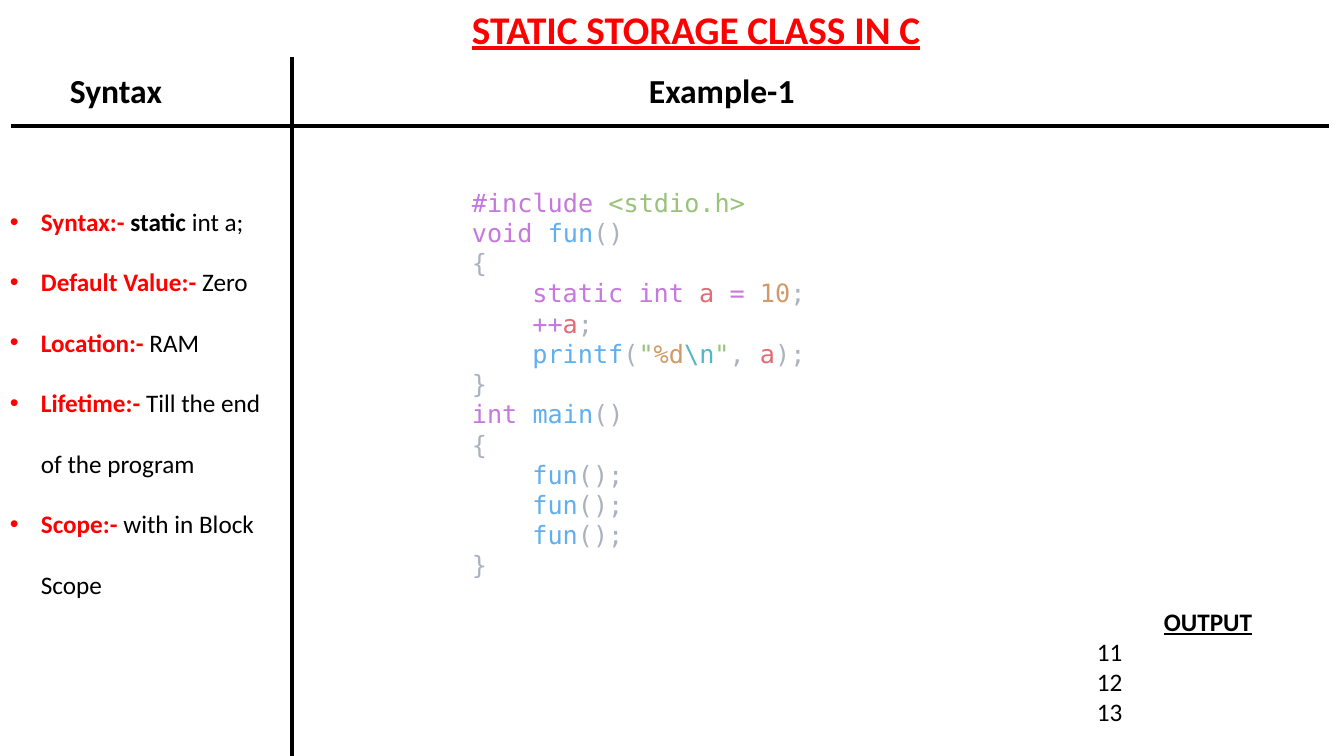
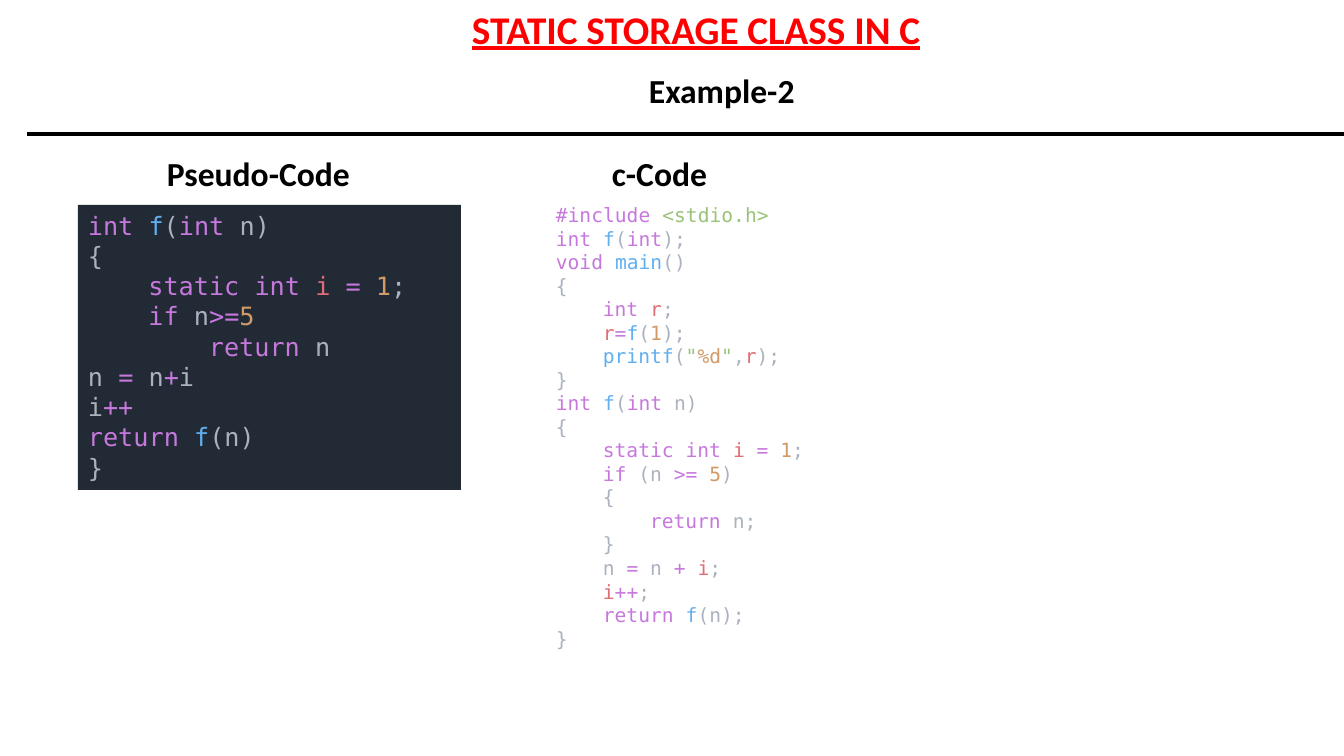
from lxml import etree
from pptx import Presentation
from pptx.dml.color import RGBColor
from pptx.enum.shapes import MSO_CONNECTOR, MSO_SHAPE
from pptx.enum.text import MSO_ANCHOR, MSO_AUTO_SIZE, PP_ALIGN
from pptx.oxml.ns import qn
from pptx.util import Emu, Pt

# Enum members
STRAIGHT = MSO_CONNECTOR.STRAIGHT
RECTANGLE = MSO_SHAPE.RECTANGLE
TOP = MSO_ANCHOR.TOP
GROW = MSO_AUTO_SIZE.SHAPE_TO_FIT_TEXT
CENTER = PP_ALIGN.CENTER

# Colours
RED = RGBColor(0xFF, 0x00, 0x00)
BLACK = RGBColor(0x00, 0x00, 0x00)
PANEL = RGBColor(0x22, 0x2A, 0x35)
KEYWORD = RGBColor(0xC6, 0x78, 0xDD)
FUNCTION = RGBColor(0x61, 0xAF, 0xEF)
PLAIN = RGBColor(0xAB, 0xB2, 0xBF)
VARIABLE = RGBColor(0xE0, 0x6C, 0x75)
NUMBER = RGBColor(0xD1, 0x9A, 0x66)
STRING = RGBColor(0x98, 0xC3, 0x79)
ESCAPE = RGBColor(0x56, 0xB6, 0xC2)

# Fonts and scale
BODY_FONT = "Calibri"
CODE_FONT = "DejaVu Sans Mono"
CODE_INDENT = 4 * 0.6  # four characters, in multiples of the text size
PIXEL = 914400 / 100.8
BULLET_INDENT = round(31 * PIXEL)


def add_text(slide, box, lines, size, font=BODY_FONT, bold=False, fill=None):
    """Each line is (indent level, [(text, colour), ...])."""
    place = [Emu(round(length * PIXEL)) for length in box]
    if fill is None:
        shape = slide.shapes.add_textbox(*place)
    else:
        shape = slide.shapes.add_shape(RECTANGLE, *place)
        shape.shadow.inherit = False
        shape.fill.solid()
        shape.fill.fore_color.rgb = fill
        shape.line.fill.background()
    frame = shape.text_frame
    frame.word_wrap = True
    frame.auto_size = GROW
    frame.vertical_anchor = TOP
    for number, (level, runs) in enumerate(lines):
        paragraph = frame.add_paragraph() if number else frame.paragraphs[0]
        indent = Pt(level * CODE_INDENT * size)
        properties = paragraph._p.get_or_add_pPr()
        properties.set("marL", str(indent))
        properties.set("algn", "l")
        for text, color in runs:
            run = paragraph.add_run()
            run.text = text
            run.font.name = font
            run.font.size = Pt(size)
            run.font.bold = bold
            run.font.color.rgb = color
    return frame.paragraphs


def add_line(slide, ends, width):
    line = slide.shapes.add_connector(
        STRAIGHT, *[Emu(round(length * PIXEL)) for length in ends])
    line.line.color.rgb = BLACK
    line.line.width = Pt(width)
    etree.SubElement(line._element.spPr, qn("a:effectLst"))


presentation = Presentation()
presentation.slide_width = Emu(round(1344 * PIXEL))
presentation.slide_height = Emu(round(756 * PIXEL))
blank = presentation.slide_layouts[6]

# Shared title, rule and headings: (heading, left, top, width)
slide_frames = [
    ((11, 126, 1329, 126),
     [("Syntax", 60, 65, 127), ("Example-1", 639, 65, 192)]),
    ((27, 134, 1344, 134),
     [("Example-2", 639, 65, 192), ("Pseudo-Code", 157, 148, 226),
      ("c-Code", 602, 148, 226)]),
]
for rule, headings in slide_frames:
    slide = presentation.slides.add_slide(blank)
    title = add_text(slide, (462, 0, 483, 57),
                     [(0, [("STATIC STORAGE CLASS IN C", RED)])], 28, bold=True)
    title[0].runs[0].font.underline = True
    add_line(slide, rule, 2.25)
    for heading, left, top, width in headings:
        add_text(slide, (left, top, width, 50), [(0, [(heading, BLACK)])],
                 24, bold=True)
syntax_slide, recursion_slide = presentation.slides

# Code lines used more than once
OPEN = (0, [("{", PLAIN)])
CLOSE = (0, [("}", PLAIN)])
INCLUDE = (0, [("#include ", KEYWORD), ("<stdio.h>", STRING)])
SIGNATURE = (0, [("int ", KEYWORD), ("f", FUNCTION), ("(", PLAIN),
                 ("int", KEYWORD), (" n)", PLAIN)])
STATIC_I = (1, [("static int ", KEYWORD), ("i ", VARIABLE), ("= ", KEYWORD),
                ("1", NUMBER), (";", PLAIN)])
CALL_FUN = (1, [("fun", FUNCTION), ("();", PLAIN)])

# Slide 1: properties of the storage class
add_line(syntax_slide, (292, 57, 292, 756), 3)
facts = [
    ("Syntax:- ", [("static ", BLACK), ("int a;", BLACK)]),
    ("Default Value:- ", [("Zero", BLACK)]),
    ("Location:- ", [("RAM", BLACK)]),
    ("Lifetime:- ", [("Till the end of the program", BLACK)]),
    ("Scope:- ", [("with in Block Scope", BLACK)]),
]
fact_paragraphs = add_text(
    syntax_slide, (0, 171, 292, 429),
    [(0, [(label, RED)] + value) for label, value in facts], 18, bold=True)
for paragraph in fact_paragraphs:
    paragraph.line_spacing = 2.0
    paragraph.runs[-1].font.bold = False
    properties = paragraph._p.get_or_add_pPr()
    properties.set("marL", str(BULLET_INDENT))
    properties.set("indent", str(-BULLET_INDENT))
    etree.SubElement(properties, qn("a:buFont"), typeface="Arial")
    etree.SubElement(properties, qn("a:buChar"), char="•")

# Slide 1: example program
add_text(syntax_slide, (462, 182, 674, 407), [
    INCLUDE,
    (0, [("void ", KEYWORD), ("fun", FUNCTION), ("()", PLAIN)]),
    OPEN,
    (1, [("static int ", KEYWORD), ("a ", VARIABLE), ("= ", KEYWORD),
         ("10", NUMBER), (";", PLAIN)]),
    (1, [("++", KEYWORD), ("a", VARIABLE), (";", PLAIN)]),
    (1, [("printf", FUNCTION), ("(", PLAIN), ('"', STRING), ("%d", NUMBER),
         ("\\n", ESCAPE), ('"', STRING), (", ", PLAIN), ("a", VARIABLE),
         (");", PLAIN)]),
    CLOSE,
    (0, [("int ", KEYWORD), ("main", FUNCTION), ("()", PLAIN)]),
    OPEN,
    *[CALL_FUN] * 3,
    CLOSE,
], 18, CODE_FONT)

# Slide 1: program output
output = add_text(syntax_slide, (1087, 601, 242, 132),
                  [(0, [(text, BLACK)]) for text in ("OUTPUT", "11", "12", "13")],
                  18)
output[0].alignment = CENTER
output[0].runs[0].font.bold = True
output[0].runs[0].font.underline = True

# Slide 2: pseudo-code panel
add_text(recursion_slide, (78, 205, 383, 285), [
    SIGNATURE,
    OPEN,
    STATIC_I,
    (1, [("if", KEYWORD), (" n", PLAIN), (">=", KEYWORD), ("5", NUMBER)]),
    (2, [("return", KEYWORD), (" n", PLAIN)]),
    (0, [("n ", PLAIN), ("= ", KEYWORD), ("n", PLAIN), ("+", KEYWORD),
         ("i", PLAIN)]),
    (0, [("i", PLAIN), ("++", KEYWORD)]),
    (0, [("return ", KEYWORD), ("f", FUNCTION), ("(n)", PLAIN)]),
    CLOSE,
], 18, CODE_FONT, fill=PANEL)

# Slide 2: C program
add_text(recursion_slide, (546, 198, 284, 462), [
    INCLUDE,
    (0, [("int ", KEYWORD), ("f", FUNCTION), ("(", PLAIN), ("int", KEYWORD),
         (");", PLAIN)]),
    (0, [("void ", KEYWORD), ("main", FUNCTION), ("()", PLAIN)]),
    OPEN,
    (1, [("int ", KEYWORD), ("r", VARIABLE), (";", PLAIN)]),
    (1, [("r", VARIABLE), ("=", KEYWORD), ("f", FUNCTION), ("(", PLAIN),
         ("1", NUMBER), (");", PLAIN)]),
    (1, [("printf", FUNCTION), ("(", PLAIN), ('"', STRING), ("%d", NUMBER),
         ('"', STRING), (",", PLAIN), ("r", VARIABLE), (");", PLAIN)]),
    CLOSE,
    SIGNATURE,
    OPEN,
    STATIC_I,
    (1, [("if", KEYWORD), (" (n ", PLAIN), (">= ", KEYWORD), ("5", NUMBER),
         (")", PLAIN)]),
    (1, [("{", PLAIN)]),
    (2, [("return", KEYWORD), (" n;", PLAIN)]),
    (1, [("}", PLAIN)]),
    (1, [("n ", PLAIN), ("=", KEYWORD), (" n ", PLAIN), ("+ ", KEYWORD),
         ("i", VARIABLE), (";", PLAIN)]),
    (1, [("i", VARIABLE), ("++", KEYWORD), (";", PLAIN)]),
    (1, [("return ", KEYWORD), ("f", FUNCTION), ("(n);", PLAIN)]),
    CLOSE,
], 14, CODE_FONT)

presentation.save("out.pptx")
